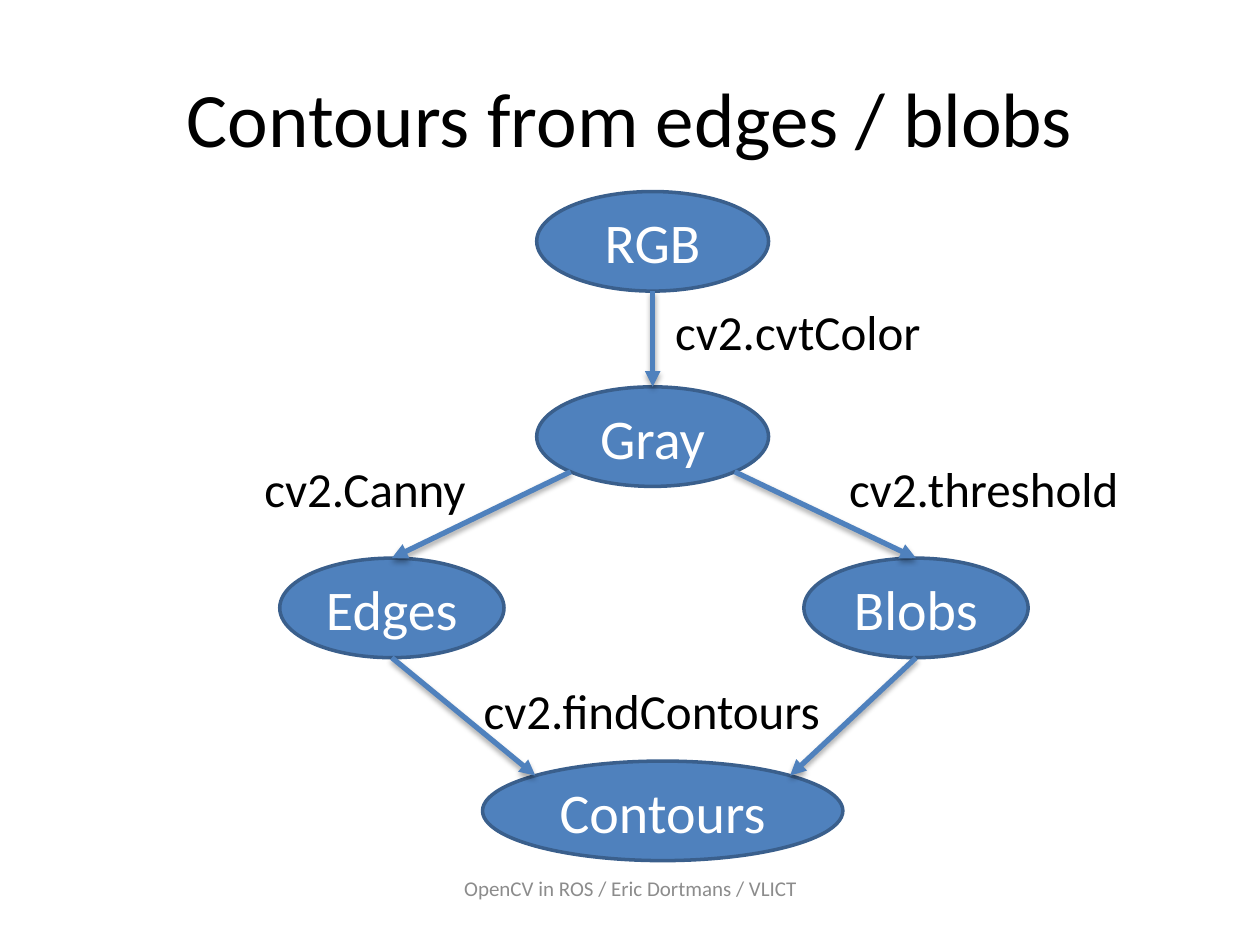
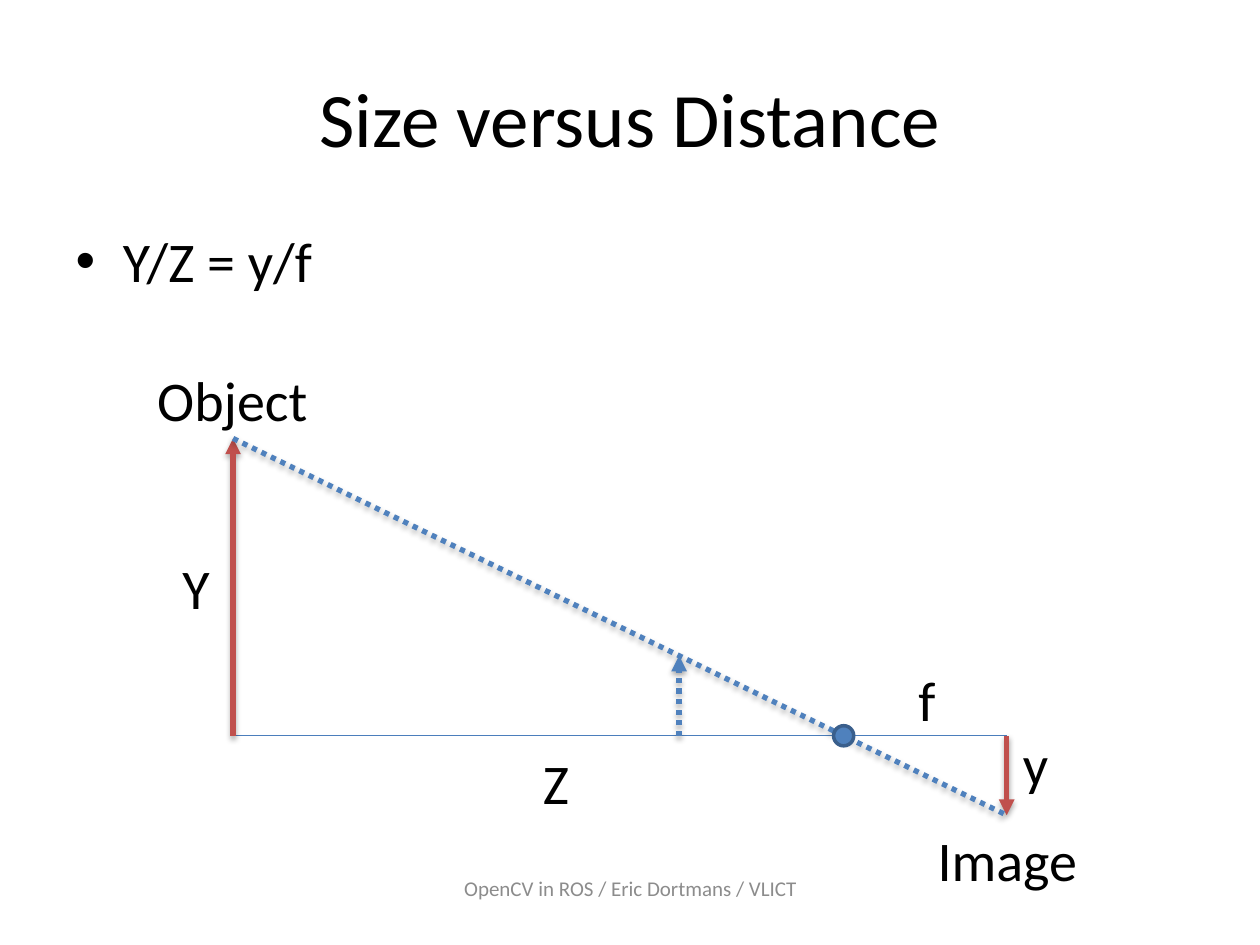
from dataclasses import dataclass
from math import sqrt

from lxml import etree
from pptx import Presentation
from pptx.dml.color import RGBColor
from pptx.enum import dml, shapes, text
from pptx.oxml import parse_xml
from pptx.oxml.ns import nsdecls, qn
from pptx.util import Inches, Pt


@dataclass(frozen=True)
class Theme:
    font: str = "Calibri"
    ink: str = "000000"
    white: str = "FFFFFF"
    grey: str = "8C8C8C"
    blue: str = "4F81BD"
    outline: str = "3A5F8C"
    axis: str = "4B7EBC"
    red: str = "C0504D"
    title: int = 44
    body: int = 32
    label: int = 28
    footer: int = 12


@dataclass(frozen=True)
class Box:
    left: float
    top: float
    width: float
    height: float

    def inside(self, left, top, width, height):
        return Box(self.left + left, self.top + top, width, height)

    def on_ellipse(self, across, down):
        return (self.left + self.width / 2 * (1 + across),
                self.top + self.height / 2 * (1 + down))

    def lengths(self):
        return [Inches(v) for v in (self.left, self.top, self.width, self.height)]


THEME = Theme()
ALIGN = text.PP_ALIGN
ANCHOR = text.MSO_ANCHOR
DIAGONAL = 1 / sqrt(2)
TITLE_BOX = Box(0.5, 0.3, 9, 1.25)
BODY_BOX = Box(0.5, 1.75, 9, 4.95)
FOOTER_BOX = Box(3.42, 6.95, 3.17, 0.4)
FOOTER = "OpenCV in ROS / Eric Dortmans / VLICT"
SHADOW = (
    f'<a:effectLst {nsdecls("a")}>'
    '<a:outerShdw blurRad="40000" dist="23000" dir="5400000" rotWithShape="0">'
    '<a:srgbClr val="000000"><a:alpha val="35000"/></a:srgbClr>'
    '</a:outerShdw></a:effectLst>'
)


def rgb(value):
    return RGBColor.from_string(value)


def write(frame, words, size, color=THEME.ink, align=ALIGN.LEFT, anchor=ANCHOR.TOP):
    frame.vertical_anchor = anchor
    para = frame.paragraphs[0]
    para.text = words
    para.alignment = align
    para.font.name = THEME.font
    para.font.size = Pt(size)
    para.font.color.rgb = rgb(color)


def place(shape, box):
    shape.left, shape.top, shape.width, shape.height = box.lengths()


def add_text(page, box, words, size, wrap=True, **style):
    frame = page.shapes.add_textbox(*box.lengths()).text_frame
    frame.word_wrap = wrap
    write(frame, words, size, **style)
    return frame


def add_ellipse(page, box, words=""):
    oval = page.shapes.add_shape(shapes.MSO_SHAPE.OVAL, *box.lengths())
    oval.shadow.inherit = False
    oval.fill.solid()
    oval.fill.fore_color.rgb = rgb(THEME.blue)
    oval.line.color.rgb = rgb(THEME.outline)
    oval.line.width = Pt(2)
    if words:
        write(oval.text_frame, words, THEME.body, THEME.white,
              ALIGN.CENTER, ANCHOR.MIDDLE)
    return oval


def add_line(page, start, end, color=THEME.blue, width=3,
             arrow=True, dotted=False, shadow=True):
    ends = [Inches(v) for v in (*start, *end)]
    line = page.shapes.add_connector(shapes.MSO_CONNECTOR.STRAIGHT, *ends)
    line.line.color.rgb = rgb(color)
    line.line.width = Pt(width)
    if dotted:
        line.line.dash_style = dml.MSO_LINE.ROUND_DOT
    if arrow:
        etree.SubElement(line.line._get_or_add_ln(), qn("a:tailEnd"), type="triangle")
    properties = line._element.spPr
    if shadow:
        properties.append(parse_xml(SHADOW))
    else:
        etree.SubElement(properties, qn("a:effectLst"))
    return line


def start_page(deck, layout, heading):
    page = deck.slides.add_slide(deck.slide_layouts.get_by_name(layout))
    place(page.shapes.title, TITLE_BOX)
    write(page.shapes.title.text_frame, heading, THEME.title,
          align=ALIGN.CENTER, anchor=ANCHOR.MIDDLE)
    footer = add_text(page, FOOTER_BOX, FOOTER, THEME.footer,
                      color=THEME.grey, align=ALIGN.CENTER)
    footer.margin_top = 0
    return page


def draw_flow(page, box):
    node_height = 0.79
    nodes = {
        "RGB": (2.26, 0, 1.84),
        "Gray": (2.26, 1.55, 1.84),
        "Edges": (0.22, 2.91, 1.78),
        "Blobs": (4.38, 2.91, 1.78),
        "Contours": (1.83, 4.52, 2.86),
    }
    areas = {name: box.inside(*spot, node_height) for name, spot in nodes.items()}
    ovals = {name: add_ellipse(page, area, name) for name, area in areas.items()}

    top, bottom = (0, -1), (0, 1)
    steps = [
        ("RGB", bottom, "Gray", top),
        ("Gray", (-DIAGONAL, DIAGONAL), "Edges", top),
        ("Gray", (DIAGONAL, DIAGONAL), "Blobs", top),
        ("Edges", bottom, "Contours", (-DIAGONAL, -DIAGONAL)),
        ("Blobs", bottom, "Contours", (DIAGONAL, -DIAGONAL)),
    ]
    for source, leave, target, arrive in steps:
        arrow = add_line(page, areas[source].on_ellipse(*leave),
                         areas[target].on_ellipse(*arrive))
        if arrive == top:
            arrow.end_connect(ovals[target], 0)

    calls = [
        ("cv2.cvtColor", 3.26, 0.82, 2.17),
        ("cv2.Canny", 0, 2.07, 1.82),
        ("cv2.threshold", 4.64, 2.07, 2.37),
        ("cv2.findContours", 1.74, 3.83, 2.9),
    ]
    for words, left, down, width in calls:
        add_text(page, box.inside(left, down, width, 0.57), words,
                 THEME.label, wrap=False)


def draw_projection(page, box):
    object_height, probe, dot = 2.36, 3.54, 0.16
    slope = box.height / box.width
    pinhole = object_height / slope

    def at(across, down):
        return box.left + across, box.top + down

    object_foot = at(0, object_height)
    image_foot = at(box.width, object_height)
    object_tip = at(0, 0)
    image_tip = at(box.width, box.height)
    add_line(page, object_foot, image_foot, THEME.axis, 0.75, arrow=False, shadow=False)
    add_line(page, object_foot, object_tip, THEME.red)
    add_line(page, image_foot, image_tip, THEME.red)
    add_line(page, object_tip, image_tip, arrow=False, dotted=True)
    add_line(page, at(probe, object_height), at(probe, probe * slope), dotted=True)
    add_ellipse(page, box.inside(pinhole - dot / 2, object_height - dot / 2, dot, dot))

    symbols = [("Y", -0.5, 0.86), ("Z", 2.36, 2.41), ("f", 5.34, 1.75), ("y", 6.17, 2.26)]
    for words, left, down in symbols:
        add_text(page, box.inside(left, down, 0.47, 0.64), words, THEME.body)
    for words, left, down in [("Object", -0.87, -0.63), ("Image", 5.28, 3.02)]:
        add_text(page, box.inside(left, down, 1.73, 0.64), words,
                 THEME.body, align=ALIGN.CENTER)


def add_contours_page(deck):
    page = start_page(deck, "Title Only", "Contours from edges / blobs")
    draw_flow(page, Box(2, 1.52, 7.01, 5.31))


def add_distance_page(deck):
    page = start_page(deck, "Title and Content", "Size versus Distance")
    body = page.placeholders[1]
    place(body, BODY_BOX)
    write(body.text_frame, "Y/Z = y/f", THEME.body)
    draw_projection(page, Box(1.85, 3.48, 6.14, 2.99))


def main():
    deck = Presentation()
    deck.slide_width, deck.slide_height = Inches(10), Inches(7.5)
    add_contours_page(deck)
    add_distance_page(deck)
    deck.save("out.pptx")


if __name__ == "__main__":
    main()
